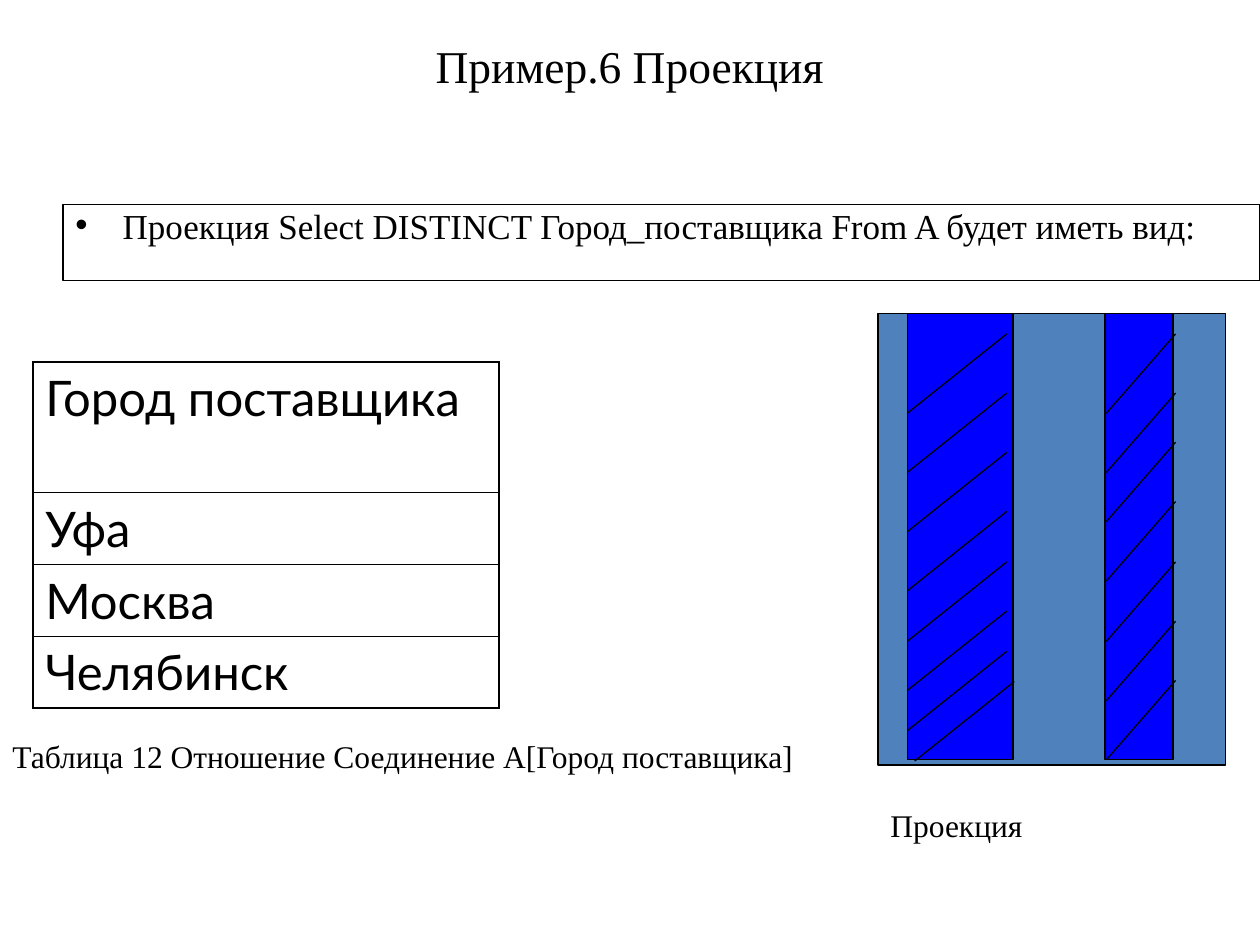
from dataclasses import dataclass

from lxml import etree
from pptx import Presentation
from pptx import util as u
from pptx.dml.color import RGBColor
from pptx.enum import shapes, text
from pptx.oxml.ns import qn

Pt = u.Pt


@dataclass(frozen=True)
class Theme:
    ink: str = "000000"
    paper: str = "FFFFFF"
    base: str = "4F81BD"
    band: str = "0000FF"
    serif: str = "Times New Roman"
    sans: str = "Lato"
    title: float = 26
    body: float = 20
    cell: float = 28
    note: float = 18
    thin: float = 0.75
    outer: float = 1.08
    inner: float = 0.45


T = Theme()


def rgb(code):
    return RGBColor.from_string(code)


def apply(obj, fmt):
    for key, val in fmt.items():
        setattr(obj, key, val)


def write(frame, words, size, face=T.serif, box=None, para=None):
    apply(frame, {"word_wrap": True, **(box or {})})
    item = frame.paragraphs[0]
    item.text = words
    apply(item, {"alignment": text.PP_ALIGN.LEFT, **(para or {})})
    apply(item.font, {"name": face, "size": Pt(size)})
    item.font.color.rgb = rgb(T.ink)
    return item


def label(slide, area, words, size, box=None, para=None):
    shape = slide.shapes.add_textbox(*map(Pt, area))
    write(shape.text_frame, words, size, box=box, para=para)


def rect(slide, area, fill):
    kind = shapes.MSO_SHAPE.RECTANGLE
    shape = slide.shapes.add_shape(kind, *map(Pt, area))
    shape.shadow.inherit = False
    shape.fill.solid()
    shape.fill.fore_color.rgb = rgb(fill)
    shape.line.color.rgb = rgb(T.ink)
    shape.line.width = Pt(T.thin)
    return shape


def bullet(item, hang):
    props = item._p.get_or_add_pPr()
    props.set("marL", str(Pt(hang)))
    props.set("indent", str(-Pt(hang)))
    etree.SubElement(props, qn("a:buFont")).set("typeface", "Arial")
    etree.SubElement(props, qn("a:buChar")).set("char", "•")


def query(slide, area, words):
    frame = rect(slide, area, T.paper).text_frame
    box = {"vertical_anchor": text.MSO_ANCHOR.TOP, "margin_top": Pt(6.8)}
    item = write(frame, words, T.body, box=box, para={"line_spacing": 0.7})
    bullet(item, 27)


def border(cell, sides):
    props = cell._tc.get_or_add_tcPr()
    for spot, (side, width) in enumerate(sides.items()):
        line = etree.Element(qn(f"a:ln{side}"), w=str(Pt(width)))
        fill = etree.SubElement(line, qn("a:solidFill"))
        etree.SubElement(fill, qn("a:srgbClr"), val=T.ink)
        props.insert(spot, line)


def grid(slide, left, top, width, rows):
    size = map(Pt, (left, top, width, sum(high for _, high in rows)))
    table = slide.shapes.add_table(len(rows), 1, *size).table
    apply(table, {"first_row": False, "horz_banding": False})
    last = len(rows) - 1
    for num, (words, high) in enumerate(rows):
        table.rows[num].height = Pt(high)
        cell = table.cell(num, 0)
        cell.fill.background()
        write(cell.text_frame, words, T.cell, T.sans)
        border(cell, {
            "L": T.outer,
            "R": T.outer,
            "T": T.outer if num == 0 else T.inner,
            "B": T.outer if num == last else T.inner,
        })


def hatch(slide, left, right, tops, drop=45.4):
    for top in tops:
        ends = map(Pt, (right, top, left, top + drop))
        kind = shapes.MSO_CONNECTOR.STRAIGHT
        line = slide.shapes.add_connector(kind, *ends)
        line.line.color.rgb = rgb(T.ink)
        line.line.width = Pt(T.thin)
        etree.SubElement(line._element.spPr, qn("a:effectLst"))


def scheme(slide):
    top = 179.3
    rect(slide, (501.8, top, 198.7, 257.8), T.base)
    for left, width in ((631.4, 38.9), (518.4, 60.5)):
        rect(slide, (left, top, width, 254.9), T.band)
    hatch(slide, 518.4, 575.3, (190.8, 224.6, 258.5, 292.3, 321.1, 349.2, 372.2))
    hatch(slide, 522.7, 579.6, (389.5,))
    hatch(slide, 632.2, 671.8, (190.8, 224.6, 252.7, 286.6, 321.1, 355, 388.8))


def main():
    deck = Presentation()
    apply(deck, {"slide_width": Pt(720), "slide_height": Pt(540)})
    slide = deck.slides.add_slide(deck.slide_layouts[6])
    label(slide, (54, 18, 612, 38.2), "Пример.6 Проекция", T.title,
          box={"vertical_anchor": text.MSO_ANCHOR.MIDDLE},
          para={"alignment": text.PP_ALIGN.CENTER})
    query(slide, (36, 116.8, 684, 43.4),
          "Проекция Select DISTINCT Город_поставщика From A будет иметь вид:")
    cities = ("Уфа", "Москва", "Челябинск")
    rows = [("Город поставщика", 74.8)] + [(city, 41) for city in cities]
    grid(slide, 18.7, 206.8, 266.4, rows)
    label(slide, (0, 417.6, 635, 62),
          "Таблица 12 Отношение Соединение A[Город поставщика]", T.note)
    scheme(slide)
    label(slide, (501.8, 457.2, 198.7, 29), "Проекция", T.note)
    deck.save("out.pptx")


if __name__ == "__main__":
    main()
